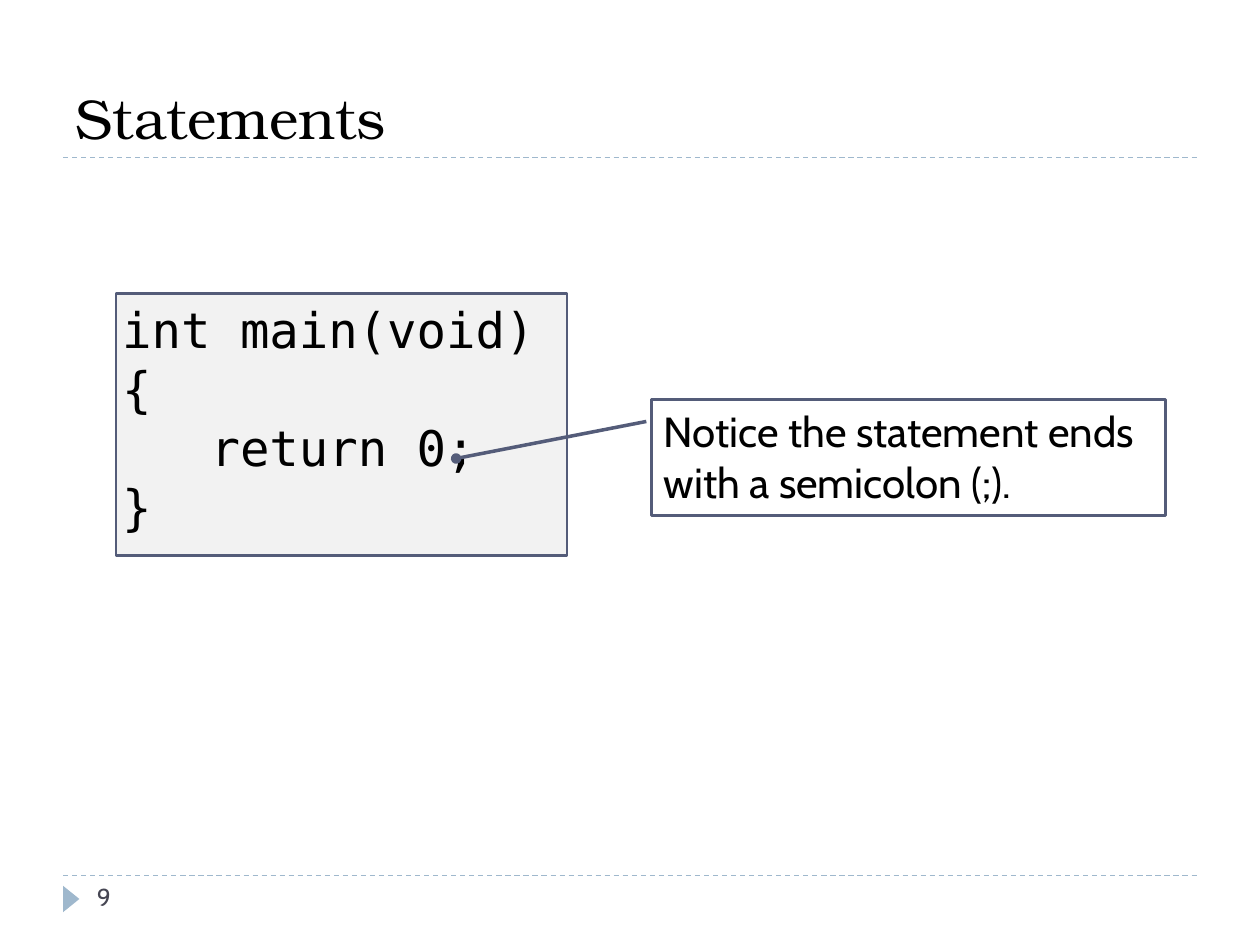
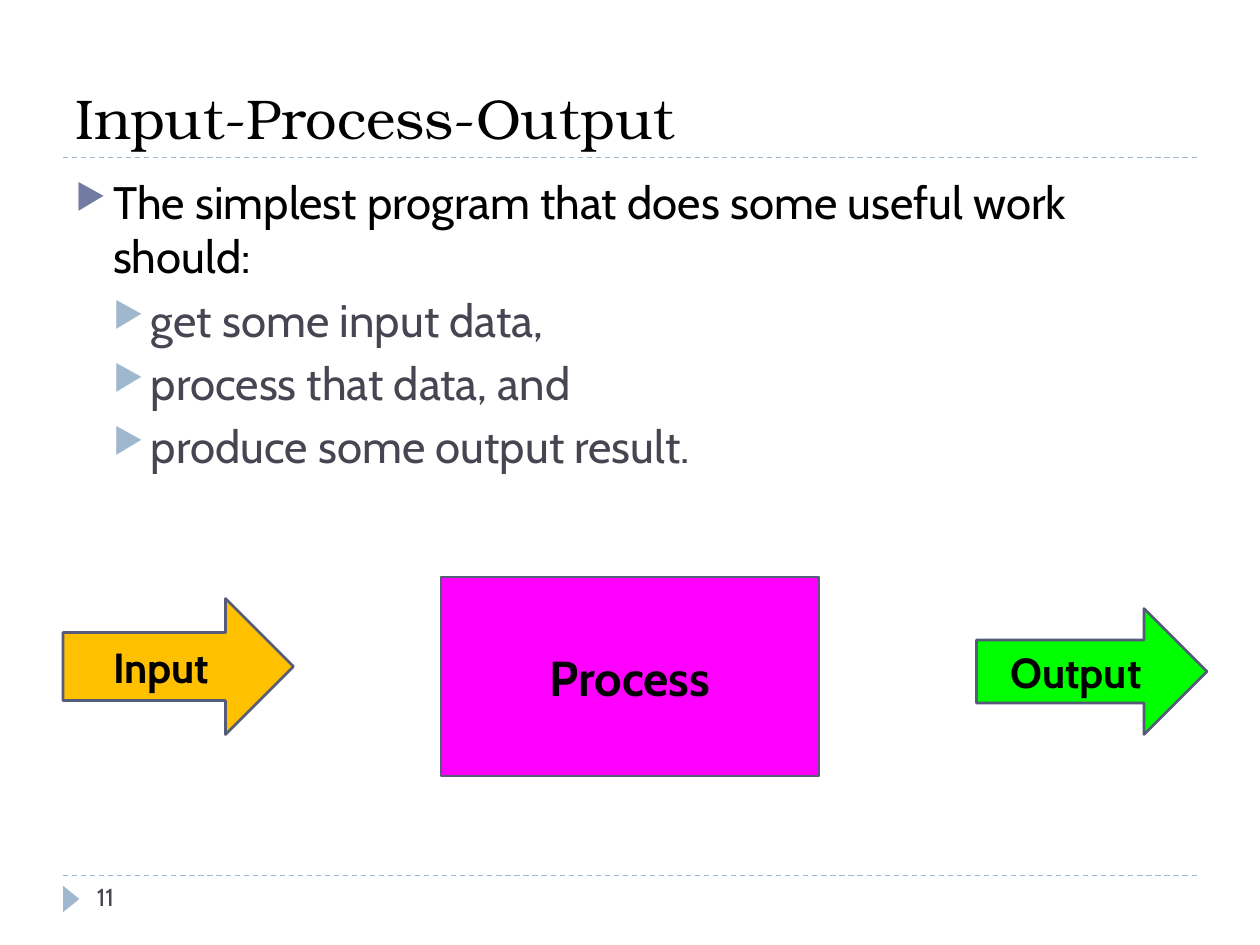
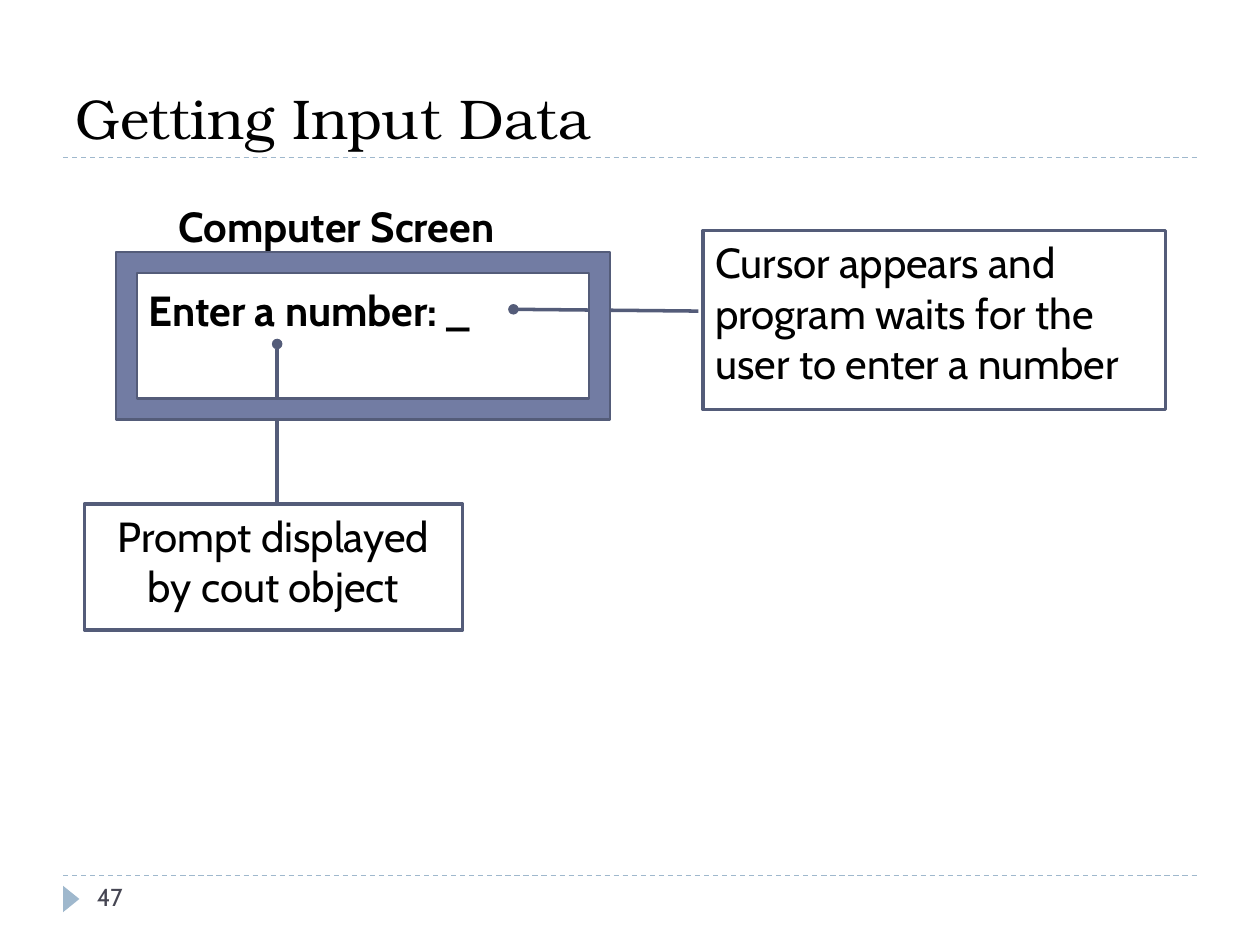
import pptx
import pptx.util
import pptx.dml.color
import pptx.enum.dml
import pptx.enum.shapes
import pptx.enum.text
import pptx.oxml
import pptx.oxml.ns
from lxml import etree

Inches, Pt = pptx.util.Inches, pptx.util.Pt
SHAPE = pptx.enum.shapes.MSO_SHAPE
ALIGN = pptx.enum.text.PP_ALIGN
ANCHOR = pptx.enum.text.MSO_ANCHOR

# Shared look
BODY, CODE, HEAD = "Cabin", "DejaVu Sans Mono", "TeX Gyre Bonum"
BLACK, GREY, EDGE = "000000", "464653", "545C79"
BLUE, SKY, PALE = "727CA3", "9FB8CD", "F2F2F2"
LEFT, RIGHT = 0.5, 9.5
RULES = (1.25, 6.95)

# Content
SOURCE = ["int main(void)", "{", "   return 0;", "}"]
STEPS = [
    (0, "The simplest program that does some useful work should:"),
    (1, "get some input data,"),
    (1, "process that data, and"),
    (1, "produce some output result."),
]
LEVELS = [dict(color=BLACK, mark=BLUE, gap=6), dict(color=GREY, mark=SKY, gap=5)]
FLOW = [  # text, shape, box, fill, size
    ("Process", SHAPE.RECTANGLE, (3.5, 4.58, 3, 1.58), "FF00FF", 28),
    ("Input", SHAPE.RIGHT_ARROW, (0.5, 4.75, 1.83, 1.08), "FFC000", 24),
    ("Output", SHAPE.RIGHT_ARROW, (7.75, 4.83, 1.83, 1), "00FF00", 24),
]


def rgb(code):
    return pptx.dml.color.RGBColor.from_string(code)


def child(node, tag, **attrs):
    return etree.SubElement(node, pptx.oxml.ns.qn(tag), attrs)


def style(para, size=24, font=BODY, color=BLACK, bold=False, align=ALIGN.LEFT):
    para.alignment = align
    face = para.font
    face.size, face.name, face.bold = Pt(size), font, bold
    face.color.rgb = rgb(color)


def write(shape, text, anchor=ANCHOR.TOP, inset=None, **form):
    """Fill a shape with one line of text or a list of lines."""
    frame = shape.text_frame
    frame.word_wrap = True
    frame.auto_size = pptx.enum.text.MSO_AUTO_SIZE.NONE
    frame.vertical_anchor = anchor
    if inset is not None:
        frame.margin_left = frame.margin_right = Inches(inset)
        frame.margin_top = frame.margin_bottom = Inches(inset)
    lines = [text] if isinstance(text, str) else text
    for i, line in enumerate(lines):
        para = frame.add_paragraph() if i else frame.paragraphs[0]
        para.text = line
        style(para, **form)


def label(slide, box, text, **form):
    write(slide.shapes.add_textbox(*map(Inches, box)), text, **form)


def draw(slide, kind, box, fill=None, line=EDGE, width=1.5):
    shape = slide.shapes.add_shape(kind, *map(Inches, box))
    shape.shadow.inherit = False
    if fill:
        shape.fill.solid()
        shape.fill.fore_color.rgb = rgb(fill)
    else:
        shape.fill.background()
    if line:
        shape.line.color.rgb = rgb(line)
        shape.line.width = Pt(width)
    else:
        shape.line.fill.background()
    return shape


def callout(slide, box, leader, text, **form):
    """Boxed note whose leader ends in a dot; leader is y, x, y, x."""
    note = draw(slide, SHAPE.LINE_CALLOUT_1, box, width=2)
    for i, part in enumerate(leader):
        note.adjustments[i] = part
    child(note.line._get_or_add_ln(), "a:tailEnd", type="oval")
    write(note, text, **form)


def bullets(slide, box, items):
    frame = slide.shapes.add_textbox(*map(Inches, box)).text_frame
    frame.word_wrap = True
    for i, (level, text) in enumerate(items):
        look = LEVELS[level]
        para = frame.add_paragraph() if i else frame.paragraphs[0]
        para.text = text
        para.level = level
        props = para._p.get_or_add_pPr()
        props.set("marL", str(Inches(0.3 * (level + 1))))
        props.set("indent", str(Inches(-0.3)))
        child(child(props, "a:buClr"), "a:srgbClr", val=look["mark"])
        child(props, "a:buSzPct", val="76000")
        child(props, "a:buChar", char="▶")
        if i:
            para.space_before = Pt(look["gap"])
        style(para, size=26, color=look["color"])


def start(deck, title, page):
    """Add a slide with the shared rules, marker, title and number."""
    slide = deck.slides.add_slide(deck.slide_layouts[5])
    for y in RULES:
        rule = slide.shapes.add_connector(
            pptx.enum.shapes.MSO_CONNECTOR.STRAIGHT,
            Inches(LEFT), Inches(y), Inches(RIGHT), Inches(y))
        rule.line.color.rgb = rgb(SKY)
        rule.line.width = Pt(0.75)
        rule.line.dash_style = pptx.enum.dml.MSO_LINE.DASH
        child(rule._element.spPr, "a:effectLst")
    marker = draw(slide, SHAPE.ISOSCELES_TRIANGLE, (0.46, 7.07, 0.21, 0.13),
                  fill=SKY, line=None)
    marker.rotation = 90
    head = slide.shapes.title
    head.left, head.top = Inches(LEFT), Inches(0.17)
    head.width, head.height = Inches(RIGHT - LEFT), Inches(1.08)
    write(head, title, anchor=ANCHOR.BOTTOM, size=32, font=HEAD)
    label(slide, (0.67, 6.95, 2.17, 0.4), str(page), size=14, color=GREY)
    return slide


def main():
    deck = pptx.Presentation()
    deck.slide_width, deck.slide_height = Inches(10), Inches(7.5)

    # Statements
    slide = start(deck, "Statements", 9)
    code = draw(slide, SHAPE.RECTANGLE, (0.92, 2.33, 3.58, 2.08), fill=PALE)
    write(code, SOURCE, inset=0.05, size=28, font=CODE)
    callout(slide, (5.17, 3.17, 4.08, 0.92), (0.19, -0.01, 0.51, -0.38),
            "Notice the statement ends with a semicolon (;).")

    # Input, process, output
    slide = start(deck, "Input-Process-Output", 11)
    bullets(slide, (LEFT, 1.33, RIGHT - LEFT, 5.4), STEPS)
    for text, kind, box, fill, size in FLOW:
        write(draw(slide, kind, box, fill=fill), text, size=size, bold=True,
              anchor=ANCHOR.MIDDLE, align=ALIGN.CENTER)

    # Screen with prompt and cursor
    slide = start(deck, "Getting Input Data", 47)
    label(slide, (1.08, 2.17, 3.08, 0.58), "Enter a number: _",
          anchor=ANCHOR.MIDDLE, bold=True)
    callout(slide, (0.67, 4, 3, 1), (0, 0.51, -1.27, 0.51),
            "Prompt displayed by cout object", align=ALIGN.CENTER)
    label(slide, (1.17, 1.5, 3, 0.58), "Computer Screen",
          anchor=ANCHOR.MIDDLE, bold=True, align=ALIGN.CENTER)
    callout(slide, (5.58, 1.83, 3.67, 1.42), (0.45, -0.01, 0.44, -0.41),
            "Cursor appears and program waits for the user to enter a number")
    draw(slide, SHAPE.FRAME, (0.92, 2, 3.92, 1.33), fill=BLUE)

    deck.save("out.pptx")


if __name__ == "__main__":
    main()
